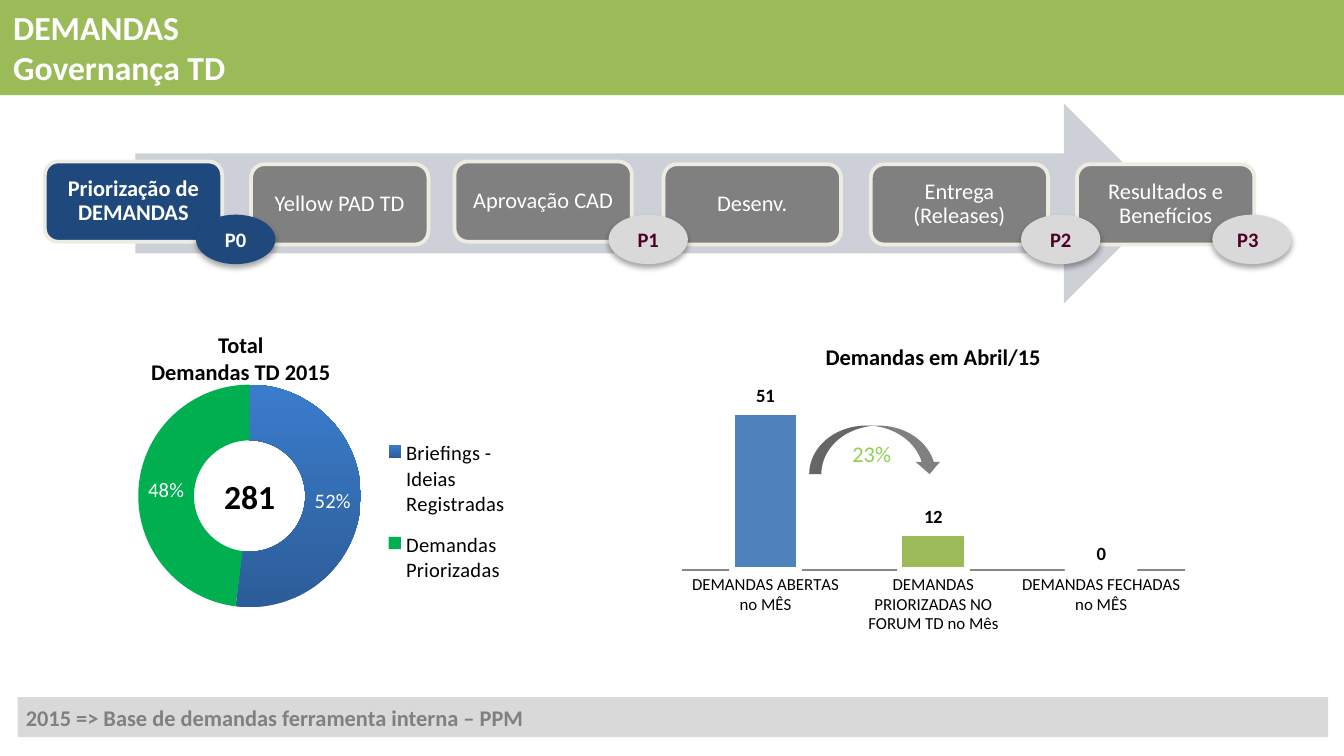
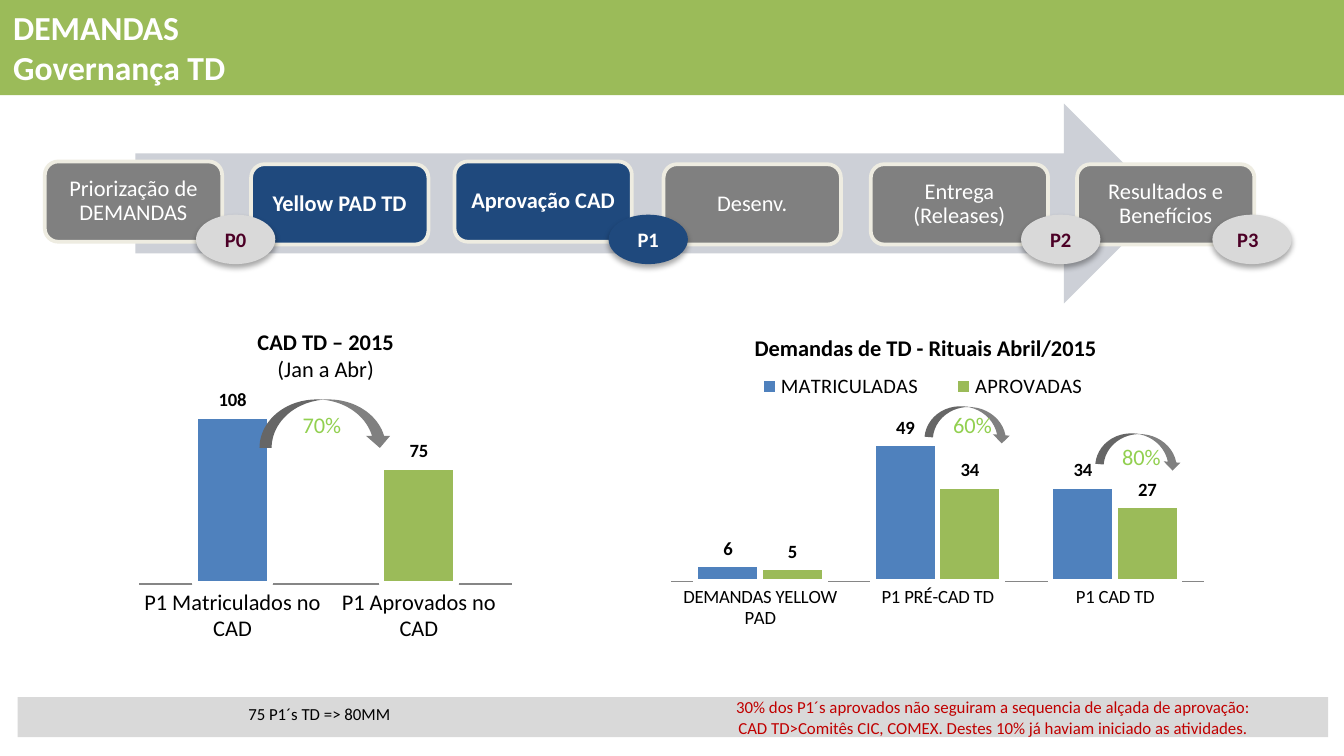
from dataclasses import dataclass
from typing import Any, NamedTuple, Optional

from lxml.etree import SubElement
from pptx import Presentation
from pptx.chart.data import CategoryChartData
from pptx.dml.color import RGBColor
from pptx.enum.chart import XL_CHART_TYPE as ChartType
from pptx.enum.chart import XL_LABEL_POSITION as LabelPosition
from pptx.enum.chart import XL_LEGEND_POSITION as LegendPosition
from pptx.enum.chart import XL_TICK_MARK as TickMark
from pptx.enum.shapes import MSO_SHAPE as Preset
from pptx.enum.text import MSO_ANCHOR as Anchor
from pptx.enum.text import PP_ALIGN as Align
from pptx.oxml.ns import qn
from pptx.util import Pt

FONT = "Calibri"
WHITE, BLACK = "FFFFFF", "000000"
GREEN, BLUE, NAVY = "9BBB59", "4F81BD", "1F497D"
GRAY, LIGHT_GRAY, ARROW_GRAY = "808080", "D9D9D9", "CDD0D7"
CREAM, WINE, RED = "EEECE1", "4C0026", "C00000"
LIME, EMERALD, AXIS_GRAY = "92D050", "00B050", "868686"
GRADIENT_COLORS = ("2C5D98", "3A7CCB")


class Box(NamedTuple):
    left: float
    top: float
    width: float
    height: float


class Stage(NamedTuple):
    label: str
    left: float
    top: float


class Milestone(NamedTuple):
    label: str
    left: float
    align: Any = Align.CENTER


@dataclass
class Rate:
    label: str
    arrow: Box
    text: Box
    rotation: float = 0


@dataclass
class ColumnChart:
    box: Box
    title: list[str]
    categories: list[str]
    series: dict[str, tuple[int, ...]]
    plot: Box
    maximum: int
    axis_size: float
    gap: int = 150
    legend: Optional[Box] = None


STAGES = [
    Stage("Priorização de DEMANDAS", 24, 86.5),
    Stage("Yellow PAD TD", 134.5, 88),
    Stage("Aprovação CAD", 243.5, 86.5),
    Stage("Desenv.", 355.5, 88),
    Stage("Entrega (Releases)", 466.5, 88),
    Stage("Resultados e Benefícios", 577, 88),
]
MILESTONES = [
    Milestone("P0", 105),
    Milestone("P1", 326),
    Milestone("P2", 547),
    Milestone("P3", 649.5, Align.LEFT),
]
FOOTER_BOX = Box(9.5, 373.5, 702, 21.5)

APRIL_CHART = ColumnChart(
    Box(359.5, 174, 281, 168.5),
    ["Demandas em Abril/15"],
    ["DEMANDAS ABERTAS no MÊS", "DEMANDAS PRIORIZADAS NO FORUM TD no Mês", "DEMANDAS FECHADAS no MÊS"],
    {"Demandas": (51, 12, 0)},
    Box(0.02, 0.19, 0.96, 0.59), 60, 9,
)
YEAR_CHART = ColumnChart(
    Box(70.5, 165.5, 208, 182),
    ["CAD TD – 2015", "(Jan a Abr)"],
    ["P1 Matriculados no CAD", "P1 Aprovados no CAD"],
    {"P1": (108, 75)},
    Box(0.02, 0.26, 0.96, 0.55), 120, 12,
)
RITUALS_CHART = ColumnChart(
    Box(337.5, 169, 317, 174),
    ["Demandas de TD - Rituais Abril/2015"],
    ["DEMANDAS YELLOW PAD", "P1 PRÉ-CAD TD", "P1 CAD TD"],
    {"MATRICULADAS": (6, 49, 34), "APROVADAS": (5, 34, 27)},
    Box(0.07, 0.3, 0.9, 0.52), 60, 10, 75,
    Box(0.17, 0.17, 0.65, 0.1),
)
APRIL_RATE = Rate("23%", Box(433.5, 228, 71, 26), Box(443.5, 229.5, 47, 27.5))
YEAR_RATE = Rate("70%", Box(139, 214, 71, 26), Box(149, 214, 47, 27.5))
RITUAL_RATES = [
    Rate("60%", Box(496, 218, 46, 18), Box(497.5, 214, 47, 27.5), 5),
    Rate("80%", Box(587.5, 232.5, 46, 18), Box(588, 231, 47, 27.5), 5),
]


def rgb(value: str) -> RGBColor:
    return RGBColor.from_string(value)


def points(box: Box) -> list[Pt]:
    return [Pt(length) for length in box]


def style_font(font: Any, size: float, color: str = BLACK, bold: bool = False) -> None:
    font.name = FONT
    font.size = Pt(size)
    font.bold = bold
    font.color.rgb = rgb(color)


def write_text(frame: Any, lines: list[str], *, size: float, color: str = BLACK, bold: bool = False,
               light_tail: bool = False, align: Any = Align.CENTER, spacing: Optional[float] = None) -> None:
    for index, line in enumerate(lines):
        paragraph = frame.add_paragraph() if index else frame.paragraphs[0]
        paragraph.alignment = align
        if spacing:
            paragraph.line_spacing = spacing
        run = paragraph.add_run()
        run.text = line
        style_font(run.font, size, color, bold and not (light_tail and index))


def set_frame(frame: Any, *, anchor: Any = Anchor.TOP, wrap: bool = True,
              inset: tuple[float, float] = (7.2, 3.6)) -> None:
    frame.word_wrap = wrap
    frame.vertical_anchor = anchor
    frame.margin_left = frame.margin_right = Pt(inset[0])
    frame.margin_top = frame.margin_bottom = Pt(inset[1])


def add_shape(slide: Any, preset: Any, box: Box, fill: str, line: Optional[str] = None) -> Any:
    shape = slide.shapes.add_shape(preset, *points(box))
    shape.shadow.inherit = False
    shape.fill.solid()
    shape.fill.fore_color.rgb = rgb(fill)
    if line:
        shape.line.color.rgb = rgb(line)
        shape.line.width = Pt(2)
    else:
        shape.line.fill.background()
    return shape


def add_text(slide: Any, box: Box, lines: list[str], *, wrap: bool = False,
             inset: tuple[float, float] = (7.2, 3.6), **text_format: Any) -> None:
    frame = slide.shapes.add_textbox(*points(box)).text_frame
    set_frame(frame, wrap=wrap, inset=inset)
    write_text(frame, lines, **text_format)


def add_soft_shadow(shape: Any) -> None:
    effects = shape.element.spPr.find(qn("a:effectLst"))
    shadow = SubElement(effects, qn("a:outerShdw"), blurRad=str(Pt(3.1)), dist=str(Pt(1.8)),
                        dir="5400000", rotWithShape="0")
    color = SubElement(shadow, qn("a:srgbClr"), val=BLACK)
    SubElement(color, qn("a:alpha"), val="35000")


def add_title_band(slide: Any) -> None:
    band = add_shape(slide, Preset.RECTANGLE, Box(0, 0, 720, 51), GREEN)
    set_frame(band.text_frame)
    write_text(band.text_frame, ["DEMANDAS", "Governança TD"], size=18, color=WHITE, bold=True, align=Align.LEFT)


def add_process(slide: Any, active: set[str]) -> None:
    add_shape(slide, Preset.RIGHT_ARROW, Box(72.5, 55.5, 551, 107), ARROW_GRAY)
    for stage in STAGES:
        is_active = stage.label in active
        shape = add_shape(slide, Preset.ROUNDED_RECTANGLE, Box(stage.left, stage.top, 95, 43),
                          NAVY if is_active else GRAY, CREAM)
        set_frame(shape.text_frame, anchor=Anchor.MIDDLE, inset=(3.6, 3.6))
        write_text(shape.text_frame, [stage.label], size=12, color=WHITE, bold=is_active, spacing=0.9)
    for milestone in MILESTONES:
        is_active = milestone.label in active
        shape = add_shape(slide, Preset.OVAL, Box(milestone.left, 115, 42.5, 26.5),
                          NAVY if is_active else LIGHT_GRAY)
        add_soft_shadow(shape)
        set_frame(shape.text_frame, anchor=Anchor.MIDDLE)
        write_text(shape.text_frame, [milestone.label], size=11, color=WHITE if is_active else WINE,
                   bold=True, align=milestone.align)


def add_rate(slide: Any, rate: Rate) -> None:
    arrow = add_shape(slide, Preset.CURVED_DOWN_ARROW, rate.arrow, GRAY)
    arrow.rotation = rate.rotation
    add_text(slide, rate.text, [rate.label], inset=(13, 6.5), size=12, color=LIME)


def place_part(chart: Any, tag: str, area: Box) -> None:
    part = chart.element.find(f".//{qn(tag)}")
    for old_layout in part.findall(qn("c:layout")):
        part.remove(old_layout)
    layout = SubElement(part, qn("c:layout"))
    part.insert(1 if tag == "c:legend" else 0, layout)
    manual = SubElement(layout, qn("c:manualLayout"))
    if tag == "c:plotArea":
        SubElement(manual, qn("c:layoutTarget"), val="inner")
    for axis in "xy":
        SubElement(manual, qn(f"c:{axis}Mode"), val="edge")
    for name, value in zip("xywh", area):
        SubElement(manual, qn(f"c:{name}"), val=str(value))


def add_chart(slide: Any, kind: Any, box: Box, categories: list[str], series: dict[str, tuple[int, ...]],
              plot: Box, legend: Optional[Box], legend_position: Any) -> Any:
    data = CategoryChartData()
    data.categories = categories
    for name, values in series.items():
        data.add_series(name, values)
    chart = slide.shapes.add_chart(kind, *points(box), data).chart
    style_font(chart.font, 14)
    chart.has_title = False
    chart.has_legend = legend is not None
    place_part(chart, "c:plotArea", plot)
    if legend:
        chart.legend.position = legend_position
        chart.legend.include_in_layout = False
        style_font(chart.legend.font, 11)
        place_part(chart, "c:legend", legend)
    return chart


def add_column_chart(slide: Any, spec_sheet: ColumnChart) -> None:
    chart = add_chart(slide, ChartType.COLUMN_CLUSTERED, spec_sheet.box, spec_sheet.categories,
                      spec_sheet.series, spec_sheet.plot, spec_sheet.legend, LegendPosition.BOTTOM)
    chart.has_title = True
    write_text(chart.chart_title.text_frame, spec_sheet.title, size=12, bold=True, light_tail=True)
    chart.value_axis.visible = False
    chart.value_axis.has_major_gridlines = False
    chart.value_axis.minimum_scale = 0
    chart.value_axis.maximum_scale = spec_sheet.maximum
    chart.category_axis.major_tick_mark = TickMark.NONE
    chart.category_axis.format.line.color.rgb = rgb(AXIS_GRAY)
    style_font(chart.category_axis.tick_labels.font, spec_sheet.axis_size)
    plot = chart.plots[0]
    plot.vary_by_categories = False
    plot.gap_width = spec_sheet.gap
    plot.overlap = 0
    for series, color in zip(plot.series, (BLUE, GREEN)):
        series.invert_if_negative = False
        formats = [series.format]
        if len(plot.series) == 1:
            formats.append(series.points[1].format)
        for style, fill in zip(formats, (color, GREEN)):
            style.fill.solid()
            style.fill.fore_color.rgb = rgb(fill)
            style.line.color.rgb = rgb(WHITE)
            style.line.width = Pt(3)
        labels = series.data_labels
        labels.show_value = True
        labels.position = LabelPosition.OUTSIDE_END
        style_font(labels.font, 10, bold=True)


def add_demand_doughnut(slide: Any) -> None:
    chart = add_chart(slide, ChartType.DOUGHNUT, Box(60, 193, 220, 145.5),
                      ["Briefings - Ideias Registradas", "Demandas Priorizadas"], {"Demandas": (52, 48)},
                      Box(0.06, 0.09, 0.55, 0.82), Box(0.65, 0.24, 0.33, 0.64), LegendPosition.RIGHT)
    series = chart.plots[0].series[0]
    briefings, prioritized = (series.points[index].format.fill for index in range(2))
    briefings.gradient()
    briefings.gradient_angle = 90
    for stop, color in zip(briefings.gradient_stops, GRADIENT_COLORS):
        stop.color.rgb = rgb(color)
    prioritized.solid()
    prioritized.fore_color.rgb = rgb(EMERALD)
    labels = chart.plots[0].data_labels
    labels.show_percentage = True
    labels.show_value = False
    labels.number_format = "0%"
    labels.number_format_is_linked = False
    style_font(labels.font, 11, WHITE)
    add_text(slide, Box(111.5, 251.5, 44.5, 29), ["281"], size=18, bold=True)
    add_text(slide, Box(64, 174, 130, 36), ["Total", "Demandas TD 2015"], size=12, bold=True)


def add_demand_slide(slide: Any) -> None:
    add_title_band(slide)
    footer = add_shape(slide, Preset.RECTANGLE, FOOTER_BOX, LIGHT_GRAY)
    set_frame(footer.text_frame, anchor=Anchor.MIDDLE, inset=(4.3, 2.2))
    write_text(footer.text_frame, ["2015 => Base de demandas ferramenta interna – PPM"],
               size=12, color=GRAY, bold=True, align=Align.LEFT)
    add_process(slide, {"Priorização de DEMANDAS", "P0"})
    add_demand_doughnut(slide)
    add_column_chart(slide, APRIL_CHART)
    add_rate(slide, APRIL_RATE)


def add_approval_slide(slide: Any) -> None:
    add_title_band(slide)
    add_shape(slide, Preset.RECTANGLE, FOOTER_BOX, LIGHT_GRAY)
    add_text(slide, Box(123, 373.5, 96, 18), ["75 P1´s TD => 80MM"], size=9)
    add_text(slide, Box(363, 367, 337.5, 34.5),
             ["30% dos P1´s aprovados não seguiram a sequencia de alçada de aprovação:",
              "CAD TD>Comitês CIC, COMEX. Destes 10% já haviam iniciado as atividades."],
             wrap=True, inset=(13, 6.5), size=9, color=RED)
    add_process(slide, {"Yellow PAD TD", "Aprovação CAD", "P1"})
    add_column_chart(slide, YEAR_CHART)
    add_column_chart(slide, RITUALS_CHART)
    for rate in [YEAR_RATE, *RITUAL_RATES]:
        add_rate(slide, rate)


def main() -> None:
    presentation = Presentation()
    presentation.slide_width, presentation.slide_height = Pt(720), Pt(405)
    for fill_slide in (add_demand_slide, add_approval_slide):
        fill_slide(presentation.slides.add_slide(presentation.slide_layouts[6]))
    presentation.save("out.pptx")


if __name__ == "__main__":
    main()
